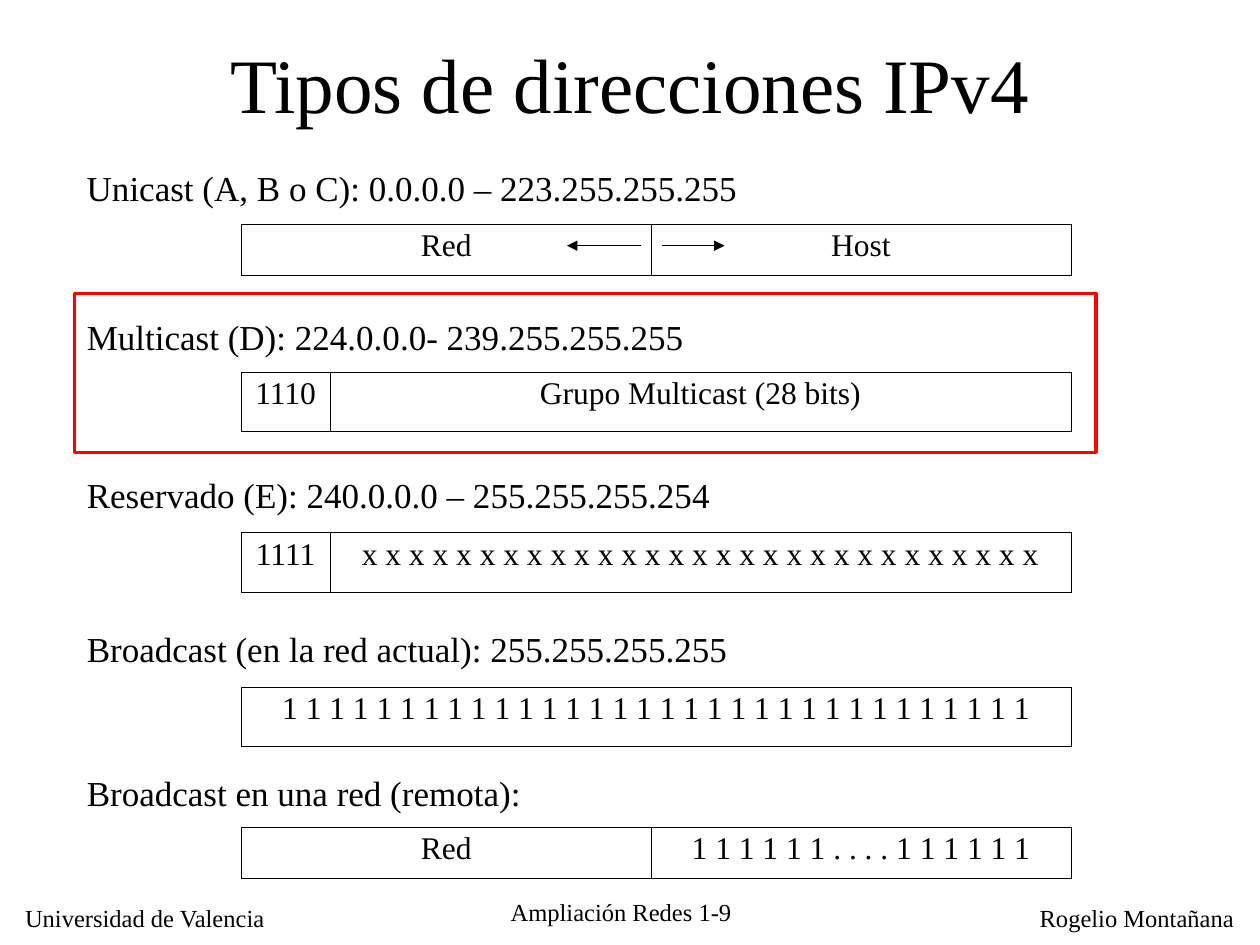
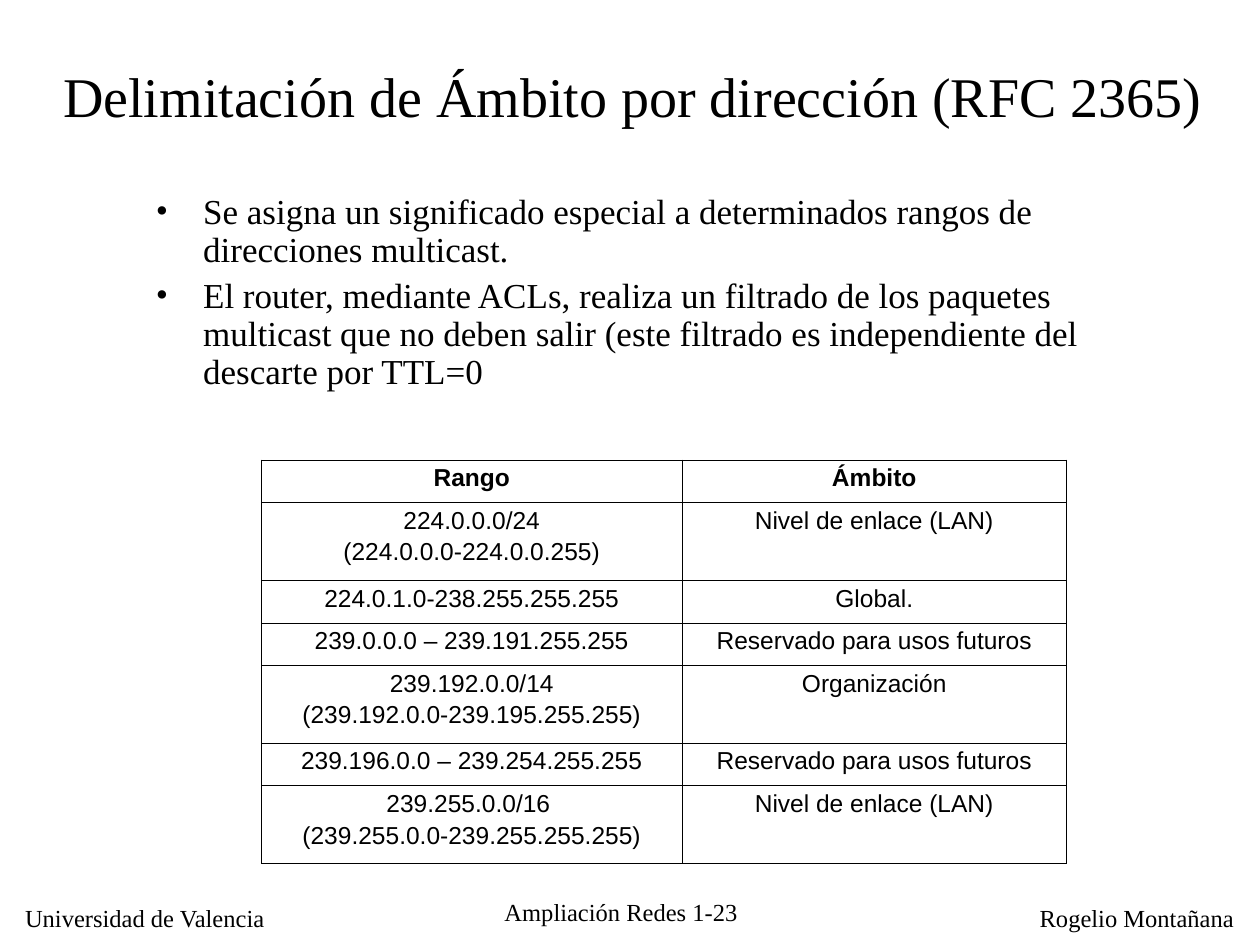
from dataclasses import dataclass

from lxml.etree import SubElement
from pptx import Presentation
from pptx.dml.color import RGBColor
from pptx.enum.shapes import MSO_CONNECTOR, MSO_SHAPE
from pptx.enum.text import MSO_ANCHOR, MSO_AUTO_SIZE, PP_ALIGN
from pptx.oxml.ns import qn
from pptx.util import Pt


@dataclass(frozen=True)
class Theme:
    """Colours, fonts and type sizes of the deck."""

    ink: RGBColor = RGBColor(0, 0, 0)
    highlight: RGBColor = RGBColor(255, 0, 0)
    serif: str = "Times New Roman"
    sans: str = "Arial"
    title: int = 44
    long_title: int = 32
    body: int = 20
    field: int = 18
    small: int = 14


THEME = Theme()
TITLE_ONLY = 5
LABEL_LEFT, FIELD_LEFT = 42.5, 138
HALVES, PREFIX, WHOLE = (234, 240), (50.5, 423.5), (474,)
SHORT, TALL = 29, 34

ADDRESS_TYPES = [
    ("Unicast (A, B o C): 0.0.0.0 – 223.255.255.255",
     388, 91.5, 128.2, SHORT, HALVES, ("Red", "Host")),
    ("Multicast (D): 224.0.0.0- 239.255.255.255",
     358, 176.7, 212.7, TALL, PREFIX, ("1110", "Grupo Multicast (28 bits)")),
    ("Reservado (E): 240.0.0.0 – 255.255.255.254",
     373, 267.1, 304.5, TALL, PREFIX, ("1111", " ".join("x" * 29))),
    ("Broadcast (en la red actual): 255.255.255.255",
     384, 355.3, 392.7, TALL, WHOLE, (" ".join("1" * 32),)),
    ("Broadcast en una red (remota):",
     265, 437.3, 473, SHORT, HALVES, ("Red", " ".join("111111....111111"))),
]

SCOPES = [
    ("Rango", "Ámbito"),
    ("224.0.0.0/24\n(224.0.0.0-224.0.0.255)", "Nivel de enlace (LAN)"),
    ("224.0.1.0-238.255.255.255", "Global."),
    ("239.0.0.0 – 239.191.255.255", "Reservado para usos futuros"),
    ("239.192.0.0/14\n(239.192.0.0-239.195.255.255)", "Organización"),
    ("239.196.0.0 – 239.254.255.255", "Reservado para usos futuros"),
    ("239.255.0.0/16 \n(239.255.0.0-239.255.255.255)", "Nivel de enlace (LAN)"),
]

RULES = [
    "Se asigna un significado especial a determinados rangos de "
    "direcciones multicast.",
    "El router, mediante ACLs, realiza un filtrado de los paquetes multicast "
    "que no deben salir (este filtrado es independiente del descarte por TTL=0",
]


def format_text(frame, size, font=THEME.serif, align=PP_ALIGN.LEFT,
                spacing=1.0, before=0, bold=False):
    """Format every paragraph and run of a text frame."""
    for para in frame.paragraphs:
        para.alignment = align
        para.line_spacing = spacing
        para.space_before = Pt(before)
        for span in para.runs:
            span.font.size = Pt(size)
            span.font.name = font
            span.font.bold = bold
            span.font.color.rgb = THEME.ink


def add_text(page, text, left, top, width, height, size, wrap=False, **style):
    """Add a text box and return its frame."""
    box = page.shapes.add_textbox(Pt(left), Pt(top), Pt(width), Pt(height))
    frame = box.text_frame
    frame.word_wrap = wrap
    frame.text = text
    format_text(frame, size, **style)
    return frame


def add_page(deck, title, area, size, number):
    """Add a titled page with the shared footer."""
    page = deck.slides.add_slide(deck.slide_layouts[TITLE_ONLY])
    holder = page.shapes.title
    holder.left, holder.top, holder.width, holder.height = map(Pt, area)
    frame = holder.text_frame
    frame.text = title
    frame.word_wrap = True
    frame.auto_size = MSO_AUTO_SIZE.NONE
    frame.vertical_anchor = MSO_ANCHOR.MIDDLE
    format_text(frame, size, align=PP_ALIGN.CENTER)
    add_text(page, "Universidad de Valencia", 7.2, 512.6, 154, 24.5, THEME.small)
    add_text(page, "Rogelio Montañana", 587, 512.6, 126, 24.5, THEME.small)
    add_text(page, f"Ampliación Redes 1-{number}", 270.7, 509.3, 168.5, 21.6,
             THEME.small, wrap=True, align=PP_ALIGN.CENTER)
    return page


def set_borders(cell, widths):
    """Draw the left, right, top and bottom borders of a cell."""
    properties = cell._tc.get_or_add_tcPr()
    for side, width in zip("LRTB", widths):
        line = SubElement(properties, qn(f"a:ln{side}"), w=str(Pt(width)))
        fill = SubElement(line, qn("a:solidFill"))
        SubElement(fill, qn("a:srgbClr"), val=str(THEME.ink))


def add_grid(page, rows, left, top, widths, heights, size, inner,
             outer=0.5, header=False, **style):
    """Add an unfilled table with thin inner and thicker outer borders."""
    grid = page.shapes.add_table(len(rows), len(widths), Pt(left), Pt(top),
                                 Pt(sum(widths)), Pt(sum(heights))).table
    grid.first_row = header
    grid.horz_banding = False
    for column, width in zip(grid.columns, widths):
        column.width = Pt(width)
    for r, (texts, height) in enumerate(zip(rows, heights)):
        grid.rows[r].height = Pt(height)
        for c, text in enumerate(texts):
            cell = grid.cell(r, c)
            cell.text_frame.text = text
            format_text(cell.text_frame, size, align=PP_ALIGN.CENTER,
                        spacing=0.93, bold=header and r == 0, **style)
            edges = (c == 0, c == len(widths) - 1, r == 0, r == len(rows) - 1)
            set_borders(cell, [outer if edge else inner for edge in edges])
            cell.fill.background()


def add_arrow(page, start, end, y):
    """Add a horizontal arrow."""
    arrow = page.shapes.add_connector(MSO_CONNECTOR.STRAIGHT,
                                      Pt(start), Pt(y), Pt(end), Pt(y))
    arrow.line.color.rgb = THEME.ink
    arrow.line.width = Pt(0.75)
    SubElement(arrow.line._get_or_add_ln(), qn("a:tailEnd"), type="triangle")
    SubElement(arrow._element.spPr, qn("a:effectLst"))


def add_frame(page, left, top, width, height):
    """Add an unfilled highlight rectangle."""
    frame = page.shapes.add_shape(MSO_SHAPE.RECTANGLE, Pt(left), Pt(top),
                                  Pt(width), Pt(height))
    frame.shadow.inherit = False
    frame.fill.background()
    frame.line.color.rgb = THEME.highlight
    frame.line.width = Pt(2)


def add_bullets(page, items, left, top, width, height):
    """Add a bulleted list with a hanging indent."""
    frame = add_text(page, "\n".join(items), left, top, width, height,
                     THEME.body, wrap=True, spacing=0.9, before=5)
    for para in frame.paragraphs:
        properties = para._p.get_or_add_pPr()
        properties.set("marL", str(Pt(27)))
        properties.set("indent", str(Pt(-27)))
        colour = SubElement(properties, qn("a:buClr"))
        SubElement(colour, qn("a:srgbClr"), val=str(THEME.ink))
        SubElement(properties, qn("a:buFont"), typeface=THEME.serif)
        SubElement(properties, qn("a:buChar"), char="•")


def build_address_types(deck):
    """Build the page of IPv4 address types."""
    page = add_page(deck, "Tipos de direcciones IPv4", (54, 20, 612, 54),
                    THEME.title, 9)
    for label, length, label_top, top, height, widths, fields in ADDRESS_TYPES:
        add_text(page, label, LABEL_LEFT, label_top, length, 31.5, THEME.body)
        add_grid(page, [fields], FIELD_LEFT, top, widths, [height], THEME.field,
                 inner=0.34, before=2.2 if height == SHORT else 4.5)
    add_arrow(page, 366.5, 324, 140.4)
    add_arrow(page, 378, 414, 140.4)
    add_frame(page, LABEL_LEFT, 167.8, 584, 90.7)


def build_scopes(deck):
    """Build the page of multicast scopes."""
    page = add_page(deck, "Delimitación de Ámbito por dirección (RFC 2365)",
                    (23, 9.4, 677.5, 90), THEME.long_title, 23)
    heights = [44.5 if "\n" in scope[0] else 24.3 for scope in SCOPES]
    add_grid(page, SCOPES, 149.6, 262.8, (240, 220), heights, THEME.small,
             inner=0.23, header=True, font=THEME.sans, before=3.5)
    add_bullets(page, RULES, 82, 107.3, 601, 111.6)


def main():
    """Build and save the deck."""
    deck = Presentation()
    deck.slide_width, deck.slide_height = Pt(720), Pt(540)
    build_address_types(deck)
    build_scopes(deck)
    deck.save("out.pptx")


if __name__ == "__main__":
    main()
